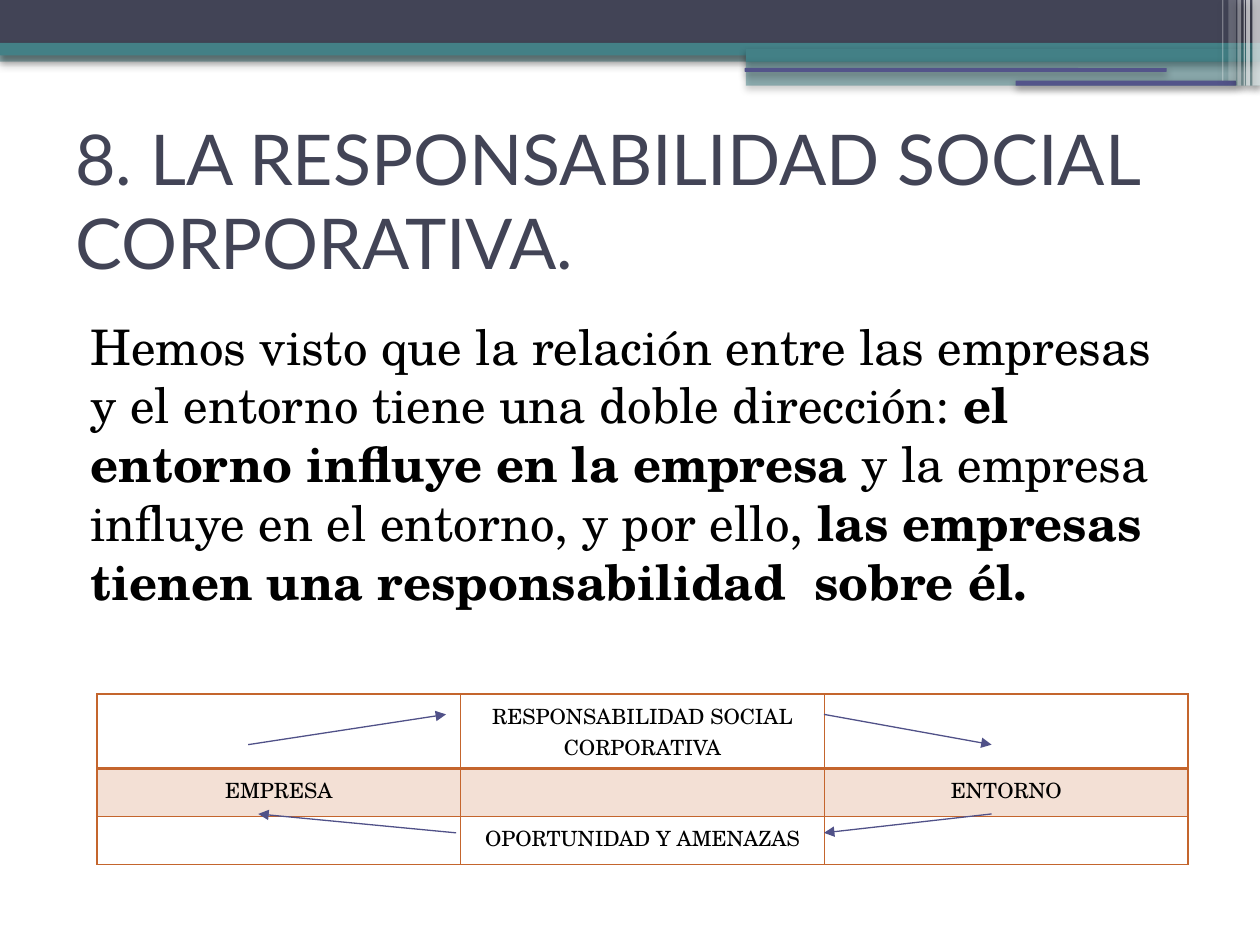
from lxml import etree
from pptx import Presentation
from pptx.dml.color import RGBColor
from pptx.enum.shapes import MSO_CONNECTOR as CONNECTOR, MSO_SHAPE as SHAPE
from pptx.enum.text import MSO_ANCHOR as ANCHOR, PP_ALIGN as ALIGN
from pptx.oxml.ns import qn
from pptx.util import Inches, Pt

COLORS = {"navy": "424456", "teal": "438086", "violet": "53548A", "arrow": "505188",
          "orange": "C4652D", "white": "FFFFFF", "black": "000000"}
TITLE_FONT, BODY_FONT = "Lato", "TeX Gyre Schola"

# left, top, width, height, colour, opacity in percent
BANDS = [
    (0, 0.4, 10, 0.09, "teal", 50),
    (0, 0, 10, 0.34, "navy", 100),
    (0, 0.34, 10, 0.1, "teal", 100),
    (5.92, 0.39, 4.08, 0.1, "teal", 100),
    (5.92, 0.48, 4.08, 0.2, "teal", 50),
]
RULES = [(5.91, 0.54, 3.35, 0.03, "violet", 100), (8.06, 0.64, 1.75, 0.04, "violet", 100)]
STRIPES = [(left, 0, width, height, "white", opacity) for left, width, height, opacity in [
    (9.94, 0.06, 0.68, 66), (9.89, 0.03, 0.68, 66), (9.87, 0.01, 0.68, 60),
    (9.82, 0.03, 0.68, 40), (9.75, 0.06, 0.64, 20), (9.7, 0.01, 0.64, 31)]]

TITLE = "8. LA RESPONSABILIDAD SOCIAL CORPORATIVA."
BODY = [
    ("Hemos visto que la relación entre las empresas y el entorno tiene una doble dirección: ", False),
    ("el entorno influye en la empresa ", True),
    ("y la empresa influye en el entorno, y por ello, ", False),
    ("las empresas tienen una responsabilidad  sobre él.", True),
]
CELLS = [
    ["", "RESPONSABILIDAD SOCIAL CORPORATIVA", ""],
    ["EMPRESA", "", "ENTORNO"],
    ["", "OPORTUNIDAD Y AMENAZAS", ""],
]
ROW_HEIGHTS = [0.59, 0.38, 0.38]
ARROWS = [(1.97, 5.91, 3.54, 5.67), (6.54, 5.67, 7.87, 5.91),
          (7.87, 6.46, 6.54, 6.61), (3.62, 6.61, 2.05, 6.46)]


def rgb(name):
    """Return the named colour."""
    return RGBColor.from_string(COLORS[name])


def add_node(parent, tag, **attributes):
    """Append an XML element with the given attributes."""
    node = etree.SubElement(parent, qn(tag))
    for name, value in attributes.items():
        node.set(name, str(value))
    return node


def set_fill(fill, color, opacity=100):
    """Apply a solid fill with an opacity in percent."""
    fill.solid()
    fill.fore_color.rgb = rgb(color)
    if opacity < 100:
        add_node(fill.fore_color._xFill[0], "a:alpha", val=opacity * 1000)


def set_font(paragraph, name, size, color):
    """Set the font of a whole paragraph."""
    font = paragraph.font
    font.name, font.size, font.color.rgb = name, Pt(size), rgb(color)


def add_bar(slide, kind, left, top, width, height, color, opacity):
    """Add a header bar with a soft shadow below it."""
    bar = slide.shapes.add_shape(kind, *map(Inches, (left, top, width, height)))
    set_fill(bar.fill, color, opacity)
    bar.line.fill.background()
    effects = add_node(bar._element.spPr, "a:effectLst")
    shadow = add_node(effects, "a:outerShdw", blurRad=Pt(4.1), dist=Pt(2), dir=5400000)
    shadow_color = add_node(shadow, "a:srgbClr", val=COLORS["black"])
    add_node(shadow_color, "a:alpha", val=40000)


def add_text(slide, left, top, width, height, runs, font, size, color):
    """Add a wrapping text box of (text, bold) runs and return its frame."""
    frame = slide.shapes.add_textbox(*map(Inches, (left, top, width, height))).text_frame
    frame.word_wrap = True
    paragraph = frame.paragraphs[0]
    set_font(paragraph, font, size, color)
    for text, bold in runs:
        run = paragraph.add_run()
        run.text, run.font.bold = text, bold
    return frame


def set_borders(cell, widths):
    """Draw the cell borders, given widths in points by side."""
    properties = cell._tc.get_or_add_tcPr()
    for position, (side, width) in enumerate(widths.items()):
        line = etree.Element(qn(f"a:ln{side}"), w=str(Pt(width)))
        properties.insert(position, line)
        add_node(add_node(line, "a:solidFill"), "a:srgbClr", val=COLORS["orange"])


def add_relation_table(slide):
    """Add the table relating company and environment."""
    table = slide.shapes.add_table(3, 3, *map(Inches, (0.77, 5.51, 8.66, sum(ROW_HEIGHTS)))).table
    for row, height in zip(table.rows, ROW_HEIGHTS):
        row.height = Inches(height)
    for row, texts in enumerate(CELLS):
        for column, text in enumerate(texts):
            cell = table.cell(row, column)
            cell.text = text
            paragraph = cell.text_frame.paragraphs[0]
            paragraph.alignment = ALIGN.CENTER
            set_font(paragraph, BODY_FONT, 12, "black")
            paragraph.font.bold = False
            if row == 1:
                set_fill(cell.fill, "orange", 20)
            else:
                cell.fill.background()
            set_borders(cell, {"L": 0.96, "R": 0.96, "T": 1.98 if row == 1 else 0.96,
                               "B": 1.98 if row == 0 else 0.96})


def add_arrow(slide, *ends):
    """Add a thin arrow from one point to another."""
    arrow = slide.shapes.add_connector(CONNECTOR.STRAIGHT, *map(Inches, ends))
    arrow.line.color.rgb, arrow.line.width = rgb("arrow"), Pt(0.75)
    add_node(arrow.line._get_or_add_ln(), "a:tailEnd", type="triangle")
    add_node(arrow._element.spPr, "a:effectLst")


def main():
    """Build and save the slide."""
    presentation = Presentation()
    presentation.slide_width, presentation.slide_height = Inches(10), Inches(7.5)
    slide = presentation.slides.add_slide(presentation.slide_layouts[6])
    for kind, bars in ((SHAPE.RECTANGLE, BANDS), (SHAPE.ROUNDED_RECTANGLE, RULES),
                       (SHAPE.RECTANGLE, STRIPES)):
        for bar in bars:
            add_bar(slide, kind, *bar)
    title = add_text(slide, 0.5, 0.99, 9, 1.18, [(TITLE, False)], TITLE_FONT, 40, "navy")
    title.vertical_anchor = ANCHOR.MIDDLE
    body = add_text(slide, 0.5, 2.46, 9, 4.73, BODY, BODY_FONT, 28, "black").paragraphs[0]
    body.space_before = Pt(3)
    body._p.get_or_add_pPr().set("marL", str(Inches(0.12)))
    add_relation_table(slide)
    for ends in ARROWS:
        add_arrow(slide, *ends)
    presentation.save("out.pptx")


main()
